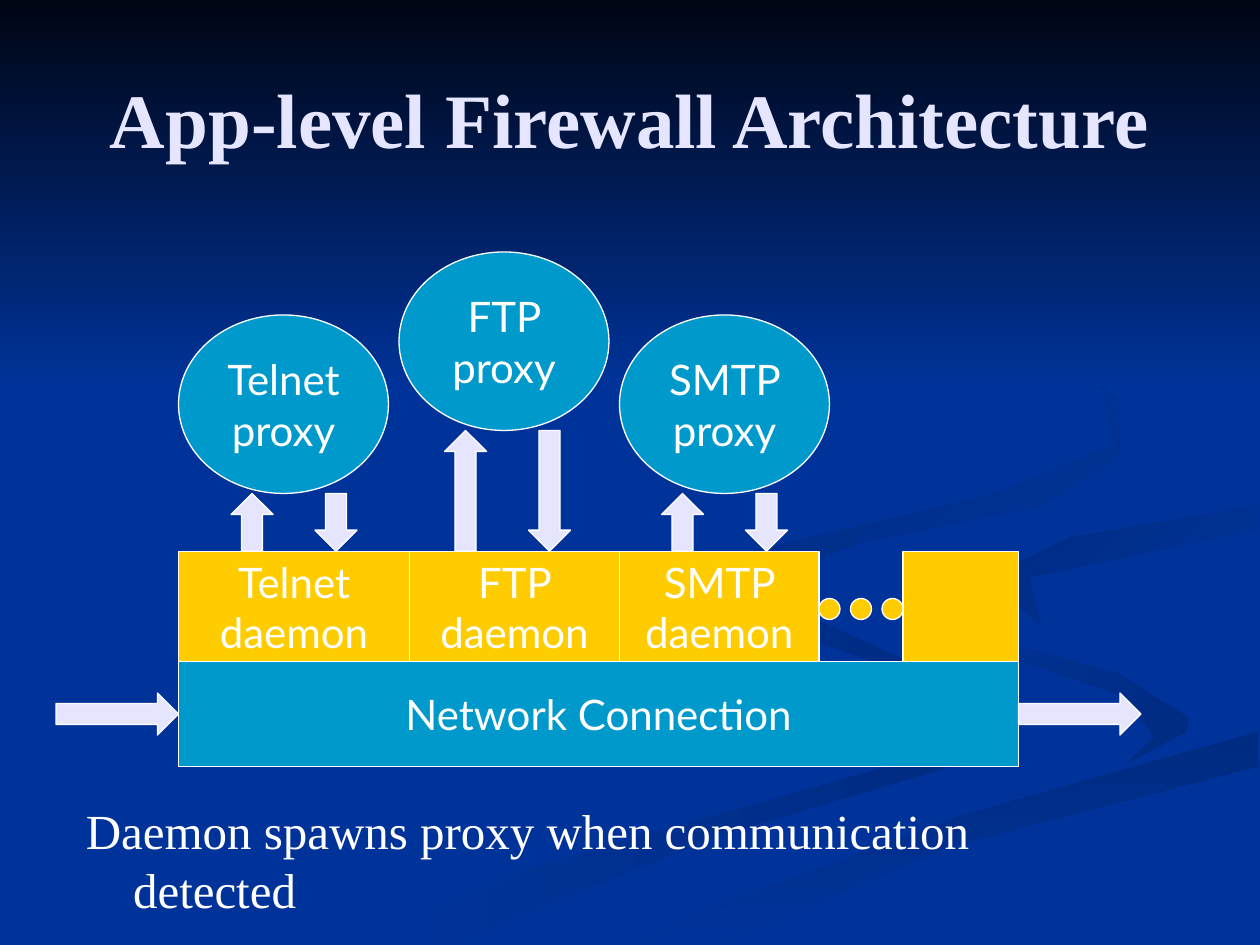
from pptx import Presentation
from pptx.dml.color import RGBColor
from pptx.enum.shapes import MSO_SHAPE as SHAPE
from pptx.enum.text import MSO_ANCHOR as ANCHOR, PP_ALIGN as ALIGN
from pptx.util import Pt

COLORS = {
    "navy": "003399", "shade": "002B82", "night": "000514", "white": "FFFFFF",
    "lavender": "E5E5FF", "teal": "0099CC", "gold": "FFCC00",
}
TITLE = {"name": "Times New Roman", "size": Pt(44), "bold": True}
BODY = {"name": "Times New Roman", "size": Pt(28)}
LABEL = {"name": "Lato", "size": Pt(24)}

# Background ribbons: gradient ends, clockwise angle, outline in points
RIBBONS = [
    ("navy", "shade", 0, [
        (562, 398), (414, 330), (422, 351), (562, 400), (532, 431),
        (300, 497), (216, 539), (260, 539), (406, 479), (570, 430)]),
    ("navy", "shade", 45, [
        (679, 410), (639, 385), (546, 359), (521, 334), (544, 364),
        (642, 398), (660, 421), (644, 436), (678, 418)]),
    ("shade", "navy", 90, [
        (362, 539), (411, 539), (541, 484), (719, 438), (719, 418),
        (550, 466), (410, 518)]),
    ("shade", "navy", 45, [
        (562, 331), (595, 357), (588, 330), (719, 302), (719, 289), (612, 307)]),
    ("shade", "navy", 45, [
        (492, 310), (594, 289), (640, 261), (638, 228), (549, 168),
        (631, 220), (635, 255), (570, 282), (430, 315), (448, 360), (428, 335)]),
]


def rgb(name):
    return RGBColor.from_string(COLORS[name])


def paint(sp, start, end=None, angle=0):
    """Fill a borderless shape, with a gradient when there is an end colour."""
    sp.shadow.inherit = False
    sp.line.fill.background()
    if end is None:
        sp.fill.solid()
        sp.fill.fore_color.rgb = rgb(start)
        return
    sp.fill.gradient()
    sp.fill.gradient_angle = (360 - angle) % 360
    for stop, color in zip(sp.fill.gradient_stops, (start, end)):
        stop.color.rgb = rgb(color)


def write(sp, text, fmt, color="white", align=ALIGN.CENTER, anchor=ANCHOR.MIDDLE):
    tf = sp.text_frame
    tf.word_wrap = True
    tf.vertical_anchor = anchor
    p = tf.paragraphs[0]
    p.alignment = align
    r = p.add_run()
    r.text = text
    for key, value in fmt.items():
        setattr(r.font, key, value)
    r.font.color.rgb = rgb(color)
    return p


def add_part(s, kind, x, y, w, h, color, text=None):
    """Outlined diagram part with an optional label."""
    sp = s.shapes.add_shape(kind, Pt(x), Pt(y), Pt(w), Pt(h))
    paint(sp, color)
    sp.line.color.rgb = rgb("white")
    sp.line.width = Pt(0.75)
    if text:
        write(sp, text, LABEL)


def add_backdrop(s, x, y, w, h):
    s.background.fill.solid()
    s.background.fill.fore_color.rgb = rgb("navy")
    for start, end, angle, points in RIBBONS:
        outline = [(x + px, y + py) for px, py in points]
        fb = s.shapes.build_freeform(*outline[0], scale=Pt(1))
        fb.add_line_segments(outline[1:], close=True)
        paint(fb.convert_to_shape(), start, end, angle)
    # Dark sky fading into the background
    sky = s.shapes.add_shape(SHAPE.RECTANGLE, Pt(x), Pt(y), Pt(w), Pt(h * 0.41))
    paint(sky, "night", "navy", 90)


def add_title(s, x, y, w, h):
    box = s.shapes.add_textbox(Pt(x), Pt(y), Pt(w), Pt(h))
    write(box, "App-level Firewall Architecture", TITLE, "lavender")


def add_caption(s, x, y, w, h):
    box = s.shapes.add_textbox(Pt(x), Pt(y), Pt(w), Pt(h))
    p = write(box, "Daemon spawns proxy when communication detected", BODY,
              align=ALIGN.LEFT, anchor=ANCHOR.TOP)
    ppr = p._p.get_or_add_pPr()
    ppr.set("marL", str(Pt(27)))
    ppr.set("indent", str(-Pt(27)))


def add_architecture(s, x, y, w, h):
    bar_h, daemon_h, proxy_w, proxy_h, arrow = 60, 63, 120, 102, 24
    bar_y = y + h - bar_h
    daemon_y = bar_y - daemon_h

    # Network connection with traffic in and out
    add_part(s, SHAPE.RECTANGLE, x, bar_y, w, bar_h, "teal", "Network Connection")
    for arrow_x in (x - 70, x + w):
        add_part(s, SHAPE.RIGHT_ARROW, arrow_x, bar_y + 18, 70, arrow, "lavender")

    # Each service: daemon width, proxy top, offset of its first arrow
    services = [("Telnet", 132, 36, 30), ("FTP", 120, 0, 26), ("SMTP", 114, 36, 24)]
    daemon_x = x
    for i, (name, daemon_w, drop, offset) in enumerate(services):
        proxy_x = x + i * 126
        proxy_y = y + drop
        add_part(s, SHAPE.RECTANGLE, daemon_x, daemon_y, daemon_w, daemon_h,
                 "gold", f"{name} daemon")
        add_part(s, SHAPE.OVAL, proxy_x, proxy_y, proxy_w, proxy_h,
                 "teal", f"{name} proxy")
        arrow_y = proxy_y + proxy_h
        for j, kind in enumerate((SHAPE.UP_ARROW, SHAPE.DOWN_ARROW)):
            add_part(s, kind, proxy_x + offset + 48 * j, arrow_y,
                     arrow, daemon_y - arrow_y, "lavender")
        daemon_x += daemon_w

    # Further daemons
    add_part(s, SHAPE.RECTANGLE, x + w - 66, daemon_y, 66, daemon_h, "gold")
    for i in range(3):
        add_part(s, SHAPE.OVAL, daemon_x + 18 * i, daemon_y + 27, 12, 12, "gold")


def main():
    prs = Presentation()
    prs.slide_width, prs.slide_height = Pt(720), Pt(540)
    s = prs.slides.add_slide(prs.slide_layouts[6])
    add_backdrop(s, 0, 0, 720, 540)
    add_title(s, 36, 22, 648, 90)
    add_caption(s, 42, 454, 612, 27)
    add_architecture(s, 102, 144, 480, 294)
    prs.save("out.pptx")


if __name__ == "__main__":
    main()
